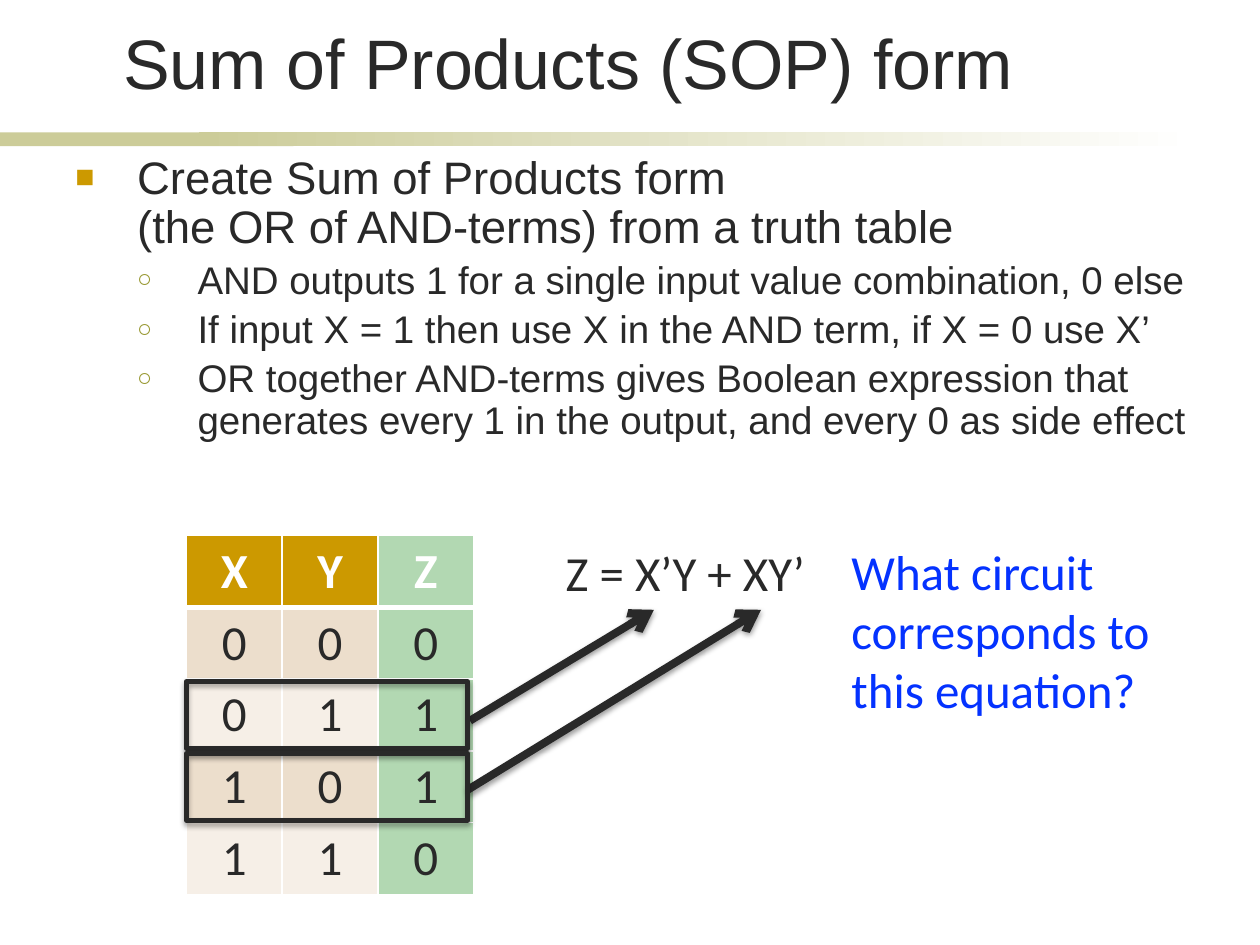
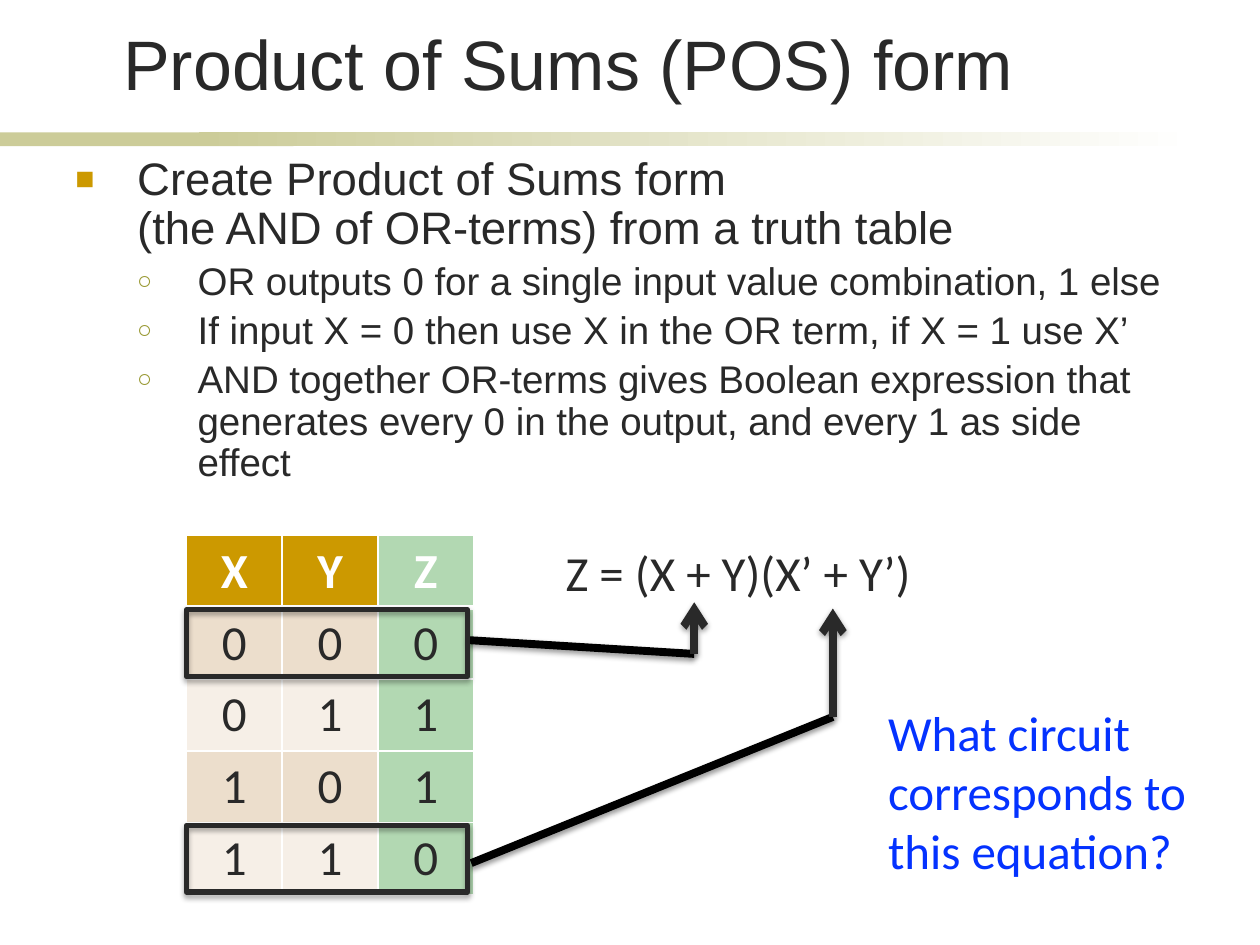
from lxml.etree import SubElement
from pptx import Presentation
from pptx.dml.color import RGBColor
from pptx.enum.shapes import MSO_CONNECTOR as Line, MSO_SHAPE as Shape
from pptx.enum.text import MSO_ANCHOR as Anchor, PP_ALIGN as Align
from pptx.oxml.ns import qn
from pptx.util import Inches, Pt

INK = RGBColor(0x29, 0x29, 0x29)
BLACK = RGBColor(0, 0, 0)
WHITE = RGBColor(0xFF, 0xFF, 0xFF)
BLUE = RGBColor(0x04, 0x32, 0xFF)
GOLD = RGBColor(0xCC, 0x99, 0x00)
OLIVE = RGBColor(0x99, 0x99, 0x33)
SAND = RGBColor(0xCC, 0xCC, 0x99)
GREEN = RGBColor(0x00, 0x80, 0x00)
ROW_FILLS = [RGBColor(0xEC, 0xDE, 0xCC), RGBColor(0xF6, 0xEF, 0xE7)]
HEADING, BODY = "Arial", "Calibri"

TABLE_LEFT, TABLE_TOP = 1.48, 4.25
COLUMN_WIDTH, ROW_HEIGHT = 0.76, 0.57
QUESTION = "What circuit corresponds to this equation?"


# Text and XML helpers
def add_node(parent, tag, **attributes):
    return SubElement(parent, qn(tag), {key: str(value) for key, value in attributes.items()})


def write(para, text, size=28, font=BODY, color=INK, bold=False, align=None):
    para.text = text
    para.alignment = align
    for span in para.runs:
        span.font.size = Pt(size)
        span.font.name = font
        span.font.bold = bold
        span.font.color.rgb = color


def add_text(page, box, text, wrap=True, anchor=Anchor.TOP, **style):
    frame = page.shapes.add_textbox(*map(Inches, box)).text_frame
    frame.word_wrap = wrap
    frame.vertical_anchor = anchor
    write(frame.paragraphs[0], text, **style)


def add_bullet(para, char, color, percent, indent, hang):
    props = para._p.get_or_add_pPr()
    props.set("marL", str(Inches(indent)))
    props.set("indent", str(-Inches(hang)))
    add_node(add_node(props, "a:buClr"), "a:srgbClr", val=color)
    add_node(props, "a:buSzPct", val=percent * 1000)
    add_node(props, "a:buFont", typeface=HEADING)
    add_node(props, "a:buChar", char=char)


def add_shadow(shape, alpha, distance):
    effects = add_node(shape._element.spPr, "a:effectLst")
    shadow = add_node(effects, "a:outerShdw", blurRad=Pt(3.1), dist=Pt(distance),
                      dir=5400000, rotWithShape=0)
    color = add_node(shadow, "a:srgbClr", val=BLACK)
    add_node(color, "a:alpha", val=alpha * 1000)


# Title with the fading band below it
def add_header(page, box, title):
    add_text(page, box, title, anchor=Anchor.BOTTOM, size=40, font=HEADING)
    for left, width, fades in [(0, 2.33, False), (1.58, 7.92, True)]:
        band = page.shapes.add_shape(Shape.RECTANGLE, *map(Inches, (left, 1.05, width, 0.11)))
        band.shadow.inherit = False
        band.line.fill.background()
        if fades:
            band.fill.gradient()
            band.fill.gradient_angle = 0
            for stop, color in zip(band.fill.gradient_stops, (SAND, WHITE)):
                stop.color.rgb = color
        else:
            band.fill.solid()
            band.fill.fore_color.rgb = SAND


# One main point and its sub-points
def add_points(page, box, main, details):
    frame = page.shapes.add_textbox(*map(Inches, box)).text_frame
    frame.word_wrap = True
    for index, text in enumerate([main] + details):
        para = frame.add_paragraph() if index else frame.paragraphs[0]
        size = 22 if index else 26
        write(para, text, size=size, font=HEADING)
        para.line_spacing = 0.9
        para.space_before = Pt(size * 0.2)
        if index:
            para.level = 1
            add_bullet(para, "○", OLIVE, 65, 0.97, 0.48)
        else:
            add_bullet(para, "■", GOLD, 70, 0.49, 0.49)


# Truth table of exclusive or
def set_borders(cell, **widths):
    props = cell._tc.get_or_add_tcPr()
    for index, side in enumerate("LRTB"):
        border = add_node(props, "a:ln" + side, w=Pt(widths.get(side, 1)))
        add_node(add_node(border, "a:solidFill"), "a:srgbClr", val=WHITE)
        props.insert(index, border)


def add_truth_table(page, left, top):
    rows = ["XYZ"] + [f"{x}{y}{x ^ y}" for x in (0, 1) for y in (0, 1)]
    size = (3 * COLUMN_WIDTH, len(rows) * ROW_HEIGHT)
    table = page.shapes.add_table(len(rows), 3, *map(Inches, (left, top, *size))).table
    for column in table.columns:
        column.width = Inches(COLUMN_WIDTH)
    for r, values in enumerate(rows):
        table.rows[r].height = Inches(ROW_HEIGHT)
        for c, value in enumerate(values):
            cell = table.cell(r, c)
            write(cell.text_frame.paragraphs[0], value, align=Align.CENTER,
                  color=INK if r else WHITE, bold=r == 0)
            cell.fill.solid()
            if c == 2:
                cell.fill.fore_color.rgb = GREEN
                tint = next(cell._tc.tcPr.iter(qn("a:srgbClr")))
                add_node(tint, "a:alpha", val=30000)
            else:
                cell.fill.fore_color.rgb = ROW_FILLS[(r - 1) % 2] if r else GOLD
            set_borders(cell, T=3 if r == 1 else 1, B=1 if r else 3)


# Frame round a table row, and lines from it to the equation
def add_row_frame(page, row):
    box = (TABLE_LEFT, TABLE_TOP + 0.02 + row * 0.57, 2.23, 0.53)
    frame = page.shapes.add_shape(Shape.RECTANGLE, *map(Inches, box))
    frame.fill.background()
    frame.line.color.rgb = INK
    frame.line.width = Pt(3)
    add_shadow(frame, 35, 1.8)


def add_pointer(page, points):
    last = len(points) - 2
    for index, (start, end) in enumerate(zip(points, points[1:])):
        line = page.shapes.add_connector(Line.STRAIGHT, *map(Inches, start + end))
        line.line.width = Pt(4.5)
        line.line.color.rgb = INK if index == last else BLACK
        if index == last:
            add_node(line._element.spPr.find(qn("a:ln")), "a:tailEnd", type="arrow")
        add_shadow(line, 38, 1.6)


def add_form_page(deck, title, title_box, main, details, points_box, equation,
                  equation_width, pointers, question_box):
    page = deck.slides.add_slide(deck.slide_layouts[6])
    add_header(page, title_box, title)
    add_points(page, points_box, main, details)
    add_truth_table(page, TABLE_LEFT, TABLE_TOP)
    add_text(page, (4.39, 4.26, equation_width, 0.57), equation, wrap=False)
    for row, points in pointers.items():
        add_pointer(page, points)
        add_row_frame(page, row)
    add_text(page, question_box, QUESTION, color=BLUE)


deck = Presentation()
deck.slide_width, deck.slide_height = Inches(10), Inches(7.5)

add_form_page(
    deck,
    title="Sum of Products (SOP) form",
    title_box=(0.88, 0.13, 8.25, 0.74),
    main="Create Sum of Products form\v(the OR of AND-terms) from a truth table",
    details=[
        "AND outputs 1 for a single input value combination, 0 else",
        "If input X = 1 then use X in the AND term, if X = 0 use X’",
        "OR together AND-terms gives Boolean expression that generates "
        "every 1 in the output, and every 0 as side effect",
    ],
    points_box=(0.5, 1.18, 9.17, 4.02),
    equation="Z = X’Y + XY’",
    equation_width=2.11,
    pointers={2: [(3.73, 5.72), (5.19, 4.84)], 3: [(3.71, 6.27), (6.04, 4.84)]},
    question_box=(6.66, 4.25, 3.14, 1.51),
)
add_form_page(
    deck,
    title="Product of Sums (POS) form",
    title_box=(0.88, 0.13, 8.25, 0.75),
    main="Create Product of Sums form\v(the AND of OR-terms) from a truth table",
    details=[
        "OR outputs 0 for a single input value combination, 1 else",
        "If input X = 0 then use X in the OR term, if X = 1 use X’",
        "AND together OR-terms gives Boolean expression that generates "
        "every 0 in the output, and every 1 as side effect",
    ],
    points_box=(0.5, 1.19, 8.89, 4.02),
    equation="Z = (X + Y)(X’ + Y’)",
    equation_width=2.97,
    pointers={1: [(3.71, 5.08), (5.51, 5.19), (5.51, 4.78)],
              4: [(3.74, 6.85), (6.61, 5.69), (6.61, 4.83)]},
    question_box=(6.95, 5.53, 2.63, 1.51),
)

deck.save("out.pptx")
